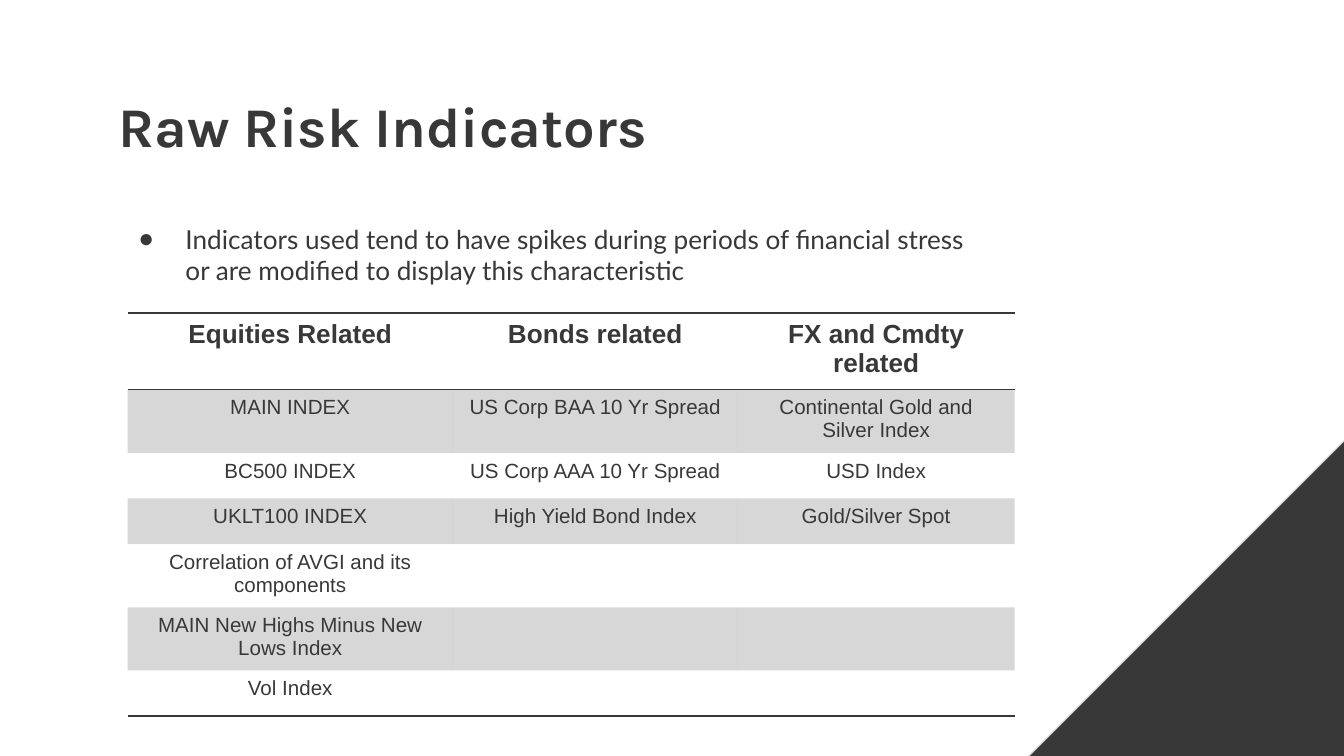
from pptx import Presentation
from pptx.dml.color import RGBColor
from pptx.enum.shapes import MSO_SHAPE as Shp
from pptx.enum.text import MSO_ANCHOR as Anc, MSO_AUTO_SIZE as Fit, PP_ALIGN as Al
from pptx.oxml.ns import qn
from pptx.util import Inches, Pt
from lxml.etree import SubElement as Sub

DARK = "383838"
PALE = "DBDBDB"
PLAIN = "{2D5ABB26-0587-4C30-8999-92F81FD0307C}"
HEAD = dict(name="Arial", size=Pt(14), bold=True)
CELL = dict(name="Arial", size=Pt(11), bold=False)
TITLE = dict(name="Karla", size=Pt(30), bold=True)
BODY = dict(name="Lato", size=Pt(14), bold=False)
COLS = [2.42, 2.12, 2.06]
ROWS = [0.57, 0.47, 0.34, 0.34, 0.47, 0.47, 0.34]
DATA = [
    ["Equities Related", "Bonds related", "FX and Cmdty related"],
    ["MAIN INDEX", "US Corp BAA 10 Yr Spread", "Continental Gold and Silver Index"],
    ["BC500 INDEX", "US Corp AAA 10 Yr Spread", "USD Index"],
    ["UKLT100 INDEX", "High Yield Bond Index", "Gold/Silver Spot"],
    ["Correlation of AVGI and its components", "", ""],
    ["MAIN New Highs Minus New Lows Index", "", ""],
    ["Vol Index", "", ""],
]


def hue(code):
    return RGBColor.from_string(code)


def write(par, text, form):
    run = par.add_run()
    run.text = text
    for key, val in form.items():
        setattr(run.font, key, val)
    run.font.color.rgb = hue(DARK)


def place(shape, box):
    for key, val in zip(("left", "top", "width", "height"), box):
        setattr(shape, key, Inches(val))
    frame = shape.text_frame
    form = dict(word_wrap=True, auto_size=Fit.NONE, vertical_anchor=Anc.TOP)
    for side in ("left", "top", "right", "bottom"):
        form["margin_" + side] = Inches(0.1)
    for key, val in form.items():
        setattr(frame, key, val)
    par = frame.paragraphs[0]
    par.alignment = Al.LEFT
    par.line_spacing = 1.0
    par.space_before = Pt(0)
    return par


def corner(slide, box):
    shape = slide.shapes.add_shape(Shp.RIGHT_TRIANGLE, *map(Inches, box))
    shape.shadow.inherit = False
    shape.fill.solid()
    shape.fill.fore_color.rgb = hue(DARK)
    shape.line.color.rgb = hue(PALE)
    shape.line.width = Pt(0.75)
    shape._element.spPr.xfrm.set("flipH", "1")


def title(slide, box, text):
    write(place(slide.shapes.title, box), text, TITLE)


def points(slide, box, text):
    par = place(slide.placeholders[1], box)
    props = par._p.get_or_add_pPr()
    props.set("marL", str(Inches(0.5)))
    props.set("indent", str(Inches(-0.35)))
    Sub(Sub(props, qn("a:buClr")), qn("a:srgbClr"), val=DARK)
    Sub(props, qn("a:buChar"), char="●")
    write(par, text, BODY)


def border(cell, sides):
    props = cell._tc.get_or_add_tcPr()
    for side in sides:
        line = Sub(props, qn("a:ln" + side), w=str(Pt(1)))
        Sub(Sub(line, qn("a:solidFill")), qn("a:srgbClr"), val=DARK)


def shade(cell, band):
    if not band:
        cell.fill.background()
        return
    cell.fill.solid()
    cell.fill.fore_color.rgb = hue(DARK)
    color = cell._tc.tcPr.find(qn("a:solidFill") + "/" + qn("a:srgbClr"))
    Sub(color, qn("a:alpha"), val="20000")


def grid(slide, box):
    table = slide.shapes.add_table(len(ROWS), len(COLS), *map(Inches, box)).table
    table.first_row = table.horz_banding = False
    table._tbl.tblPr.find(qn("a:tableStyleId")).text = PLAIN
    for col, wide in zip(table.columns, COLS):
        col.width = Inches(wide)
    edges = {0: "TB", len(ROWS) - 1: "B"}
    for i, (row, tall) in enumerate(zip(table.rows, ROWS)):
        row.height = Inches(tall)
        for cell, text in zip(row.cells, DATA[i]):
            par = cell.text_frame.paragraphs[0]
            par.alignment = Al.CENTER
            if text:
                write(par, text, CELL if i else HEAD)
            else:
                Sub(par._p, qn("a:endParaRPr"), sz="1100")
            border(cell, edges.get(i, ""))
            shade(cell, i % 2 == 1)


def main():
    deck = Presentation()
    deck.slide_width = Inches(10)
    deck.slide_height = deck.slide_width * 9 // 16
    slide = deck.slides.add_slide(deck.slide_layouts[1])
    corner(slide, (6.35, 1.68, 5.25, 5.25))
    points(slide, (0.78, 1.56, 6.64, 3.56),
           "Indicators used tend to have spikes during periods of financial stress "
           "or are modified to display this characteristic")
    title(slide, (0.78, 0.58, 6.31, 0.58), "Raw Risk Indicators")
    grid(slide, (0.95, 2.33, sum(COLS), sum(ROWS)))
    deck.save("out.pptx")


if __name__ == "__main__":
    main()
